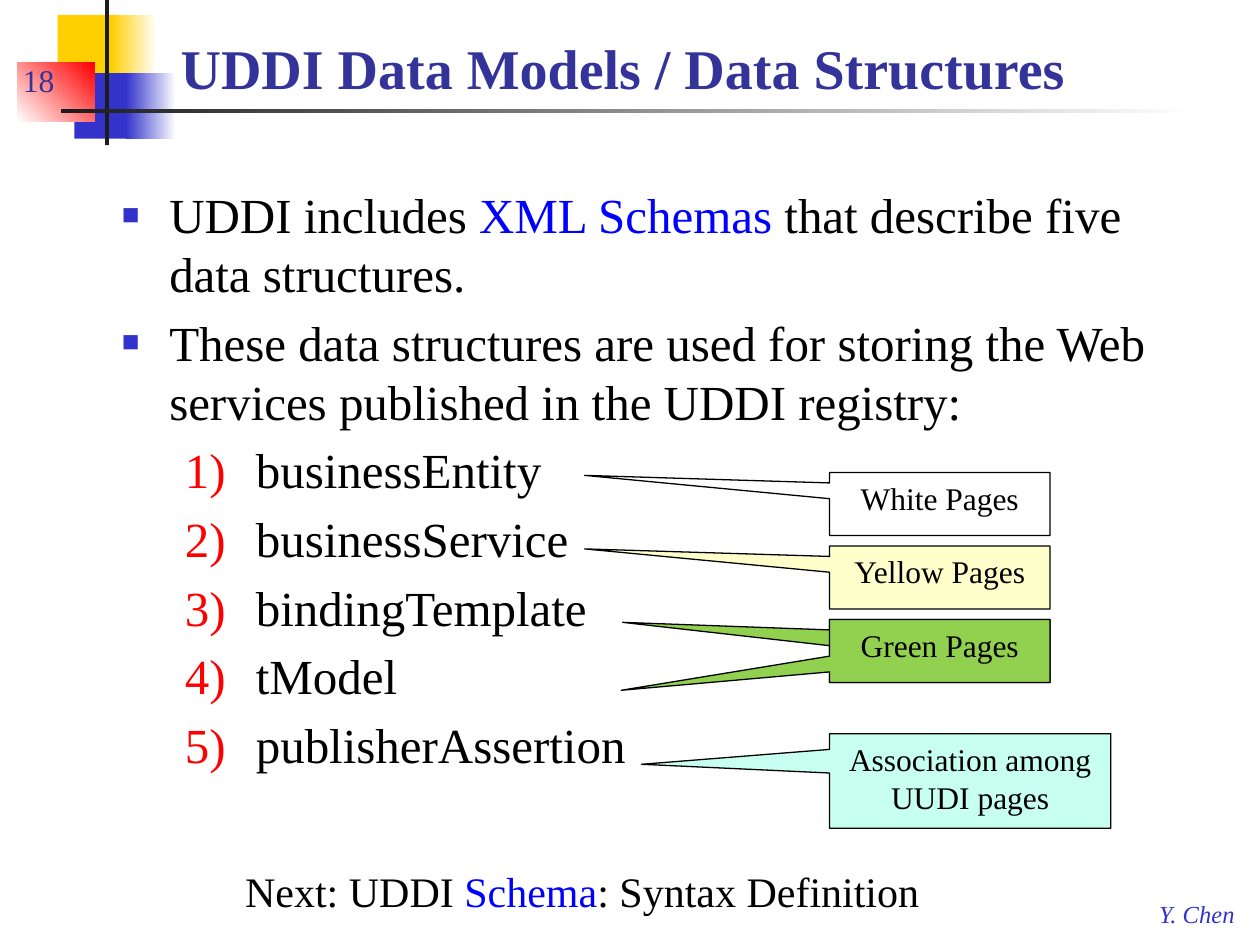
from lxml.etree import SubElement
from pptx import Presentation
from pptx.dml.color import RGBColor
from pptx.enum.shapes import MSO_SHAPE as Shape
from pptx.enum.text import MSO_ANCHOR as Anchor, MSO_AUTO_SIZE as AutoSize, PP_ALIGN as Align
from pptx.oxml.ns import qn
from pptx.util import Pt

BLACK, WHITE, NAVY, BLUE = "000000", "FFFFFF", "333399", "3333CC"
GOLD, RED, LINK, CHARCOAL = "FFCF01", "FF0000", "0000FF", "1C1C1C"


def color(code):
    return RGBColor.from_string(code)


class SlideBuilder:
    font = "Times New Roman"

    def __init__(self, page):
        self.page = page

    def add_span(self, para, text, size, code=BLACK, bold=False, italic=False):
        span = para.add_run()
        span.text = text
        span.font.name, span.font.size = self.font, Pt(size)
        span.font.bold, span.font.italic = bold, italic
        span.font.color.rgb = color(code)

    def place(self, box, left, top, width, height):
        box.left, box.top, box.width, box.height = map(Pt, (left, top, width, height))

    def add_block(self, area, code, end_code=None, angle=0):
        """Plain rectangle, or a gradient one when end_code is given."""
        block = self.page.shapes.add_shape(Shape.RECTANGLE, *map(Pt, area))
        block.shadow.inherit = False
        block.line.fill.background()
        if end_code:
            block.fill.gradient()
            block.fill.gradient_angle = angle
            for stop, stop_code in zip(block.fill.gradient_stops, (code, end_code)):
                stop.color.rgb = color(stop_code)
        else:
            block.fill.solid()
            block.fill.fore_color.rgb = color(code)

    def add_title(self, text, area):
        box = self.page.shapes.title
        self.place(box, *area)
        box.text_frame.vertical_anchor = Anchor.BOTTOM
        box.text_frame.auto_size = AutoSize.NONE
        para = box.text_frame.paragraphs[0]
        para.alignment = Align.LEFT
        self.add_span(para, text, 32, NAVY, bold=True)

    def add_list(self, items, area):
        """Each item is (numbered, [(text, color), ...])."""
        box = self.page.placeholders[1]
        self.place(box, *area)
        frame = box.text_frame
        frame.auto_size = AutoSize.NONE
        for index, (numbered, spans) in enumerate(items):
            para = frame.add_paragraph() if index else frame.paragraphs[0]
            self.set_bullet(para, numbered)
            para.space_before = Pt(5.6 if index else 0)
            for text, code in spans:
                self.add_span(para, text, 28, code)

    def set_bullet(self, para, numbered):
        para.level = int(numbered)
        margin, hanging = (76.5, 40.5) if numbered else (27, 27)
        props = para._p.get_or_add_pPr()
        props.set("marL", str(Pt(margin)))
        props.set("indent", str(-Pt(hanging)))
        tint = SubElement(props, qn("a:buClr"))
        SubElement(tint, qn("a:srgbClr"), val=RED if numbered else BLUE)
        SubElement(props, qn("a:buSzPct"), val="100000" if numbered else "60000")
        SubElement(props, qn("a:buFont"), typeface=self.font)
        if numbered:
            SubElement(props, qn("a:buAutoNum"), type="arabicParenR")
        else:
            SubElement(props, qn("a:buChar"), char="■")

    def add_text(self, spans, area, size, italic=False, wrap=False, anchor=Anchor.TOP):
        frame = self.page.shapes.add_textbox(*map(Pt, area)).text_frame
        frame.word_wrap = wrap
        frame.vertical_anchor = anchor
        for text, code in spans:
            self.add_span(frame.paragraphs[0], text, size, code, italic=italic)

    def add_callout(self, text, area, tip, code):
        """Rectangular callout whose pointer ends at tip."""
        left, top, width, height = area
        box = self.page.shapes.add_shape(Shape.RECTANGULAR_CALLOUT, *map(Pt, area))
        box.shadow.inherit = False
        box.adjustments[0] = (tip[0] - left) / width - 0.5
        box.adjustments[1] = (tip[1] - top) / height - 0.5
        box.fill.solid()
        box.fill.fore_color.rgb = color(code)
        box.line.color.rgb = color(BLACK)
        box.line.width = Pt(0.75)
        if text:
            frame = box.text_frame
            frame.word_wrap = True
            frame.vertical_anchor = Anchor.TOP
            frame.paragraphs[0].alignment = Align.CENTER
            self.add_span(frame.paragraphs[0], text, 18)


def main():
    deck = Presentation()
    deck.slide_width, deck.slide_height = Pt(720), Pt(540)
    builder = SlideBuilder(deck.slides.add_slide(deck.slide_layouts[1]))

    # Corner decoration and rule under the title
    builder.add_block((33, 8.5, 34.5, 37.5), GOLD)
    builder.add_block((63.5, 8.5, 26, 37.5), GOLD, WHITE)
    builder.add_block((42.5, 41.75, 33, 37.5), BLUE)
    builder.add_block((72, 41.75, 28.5, 37.5), BLUE, WHITE)
    builder.add_block((10, 36, 44, 33.5), WHITE, RED, angle=45)
    builder.add_block((60, 0, 2.25, 83), CHARCOAL)
    builder.add_block((34.75, 62.25, 648, 2.25), CHARCOAL, WHITE)

    # Title, author and page number
    builder.add_title("UDDI Data Models / Data Structures", (96, 12, 600, 49))
    builder.add_text([("Y. Chen", BLUE)], (655.25, 510, 59, 24), 14, italic=True)
    builder.add_text([("18", NAVY)], (6, 24, 57, 36), 18, wrap=True, anchor=Anchor.BOTTOM)

    # Body list
    structures = ("businessEntity", "businessService", "bindingTemplate",
                  "tModel", "publisherAssertion")
    items = [
        (False, [("UDDI includes ", BLACK), ("XML Schemas ", LINK),
                 ("that describe five data structures.", BLACK)]),
        (False, [("These data structures are used for storing the Web services "
                  "published in the UDDI registry:", BLACK)]),
    ] + [(True, [(name, BLACK)]) for name in structures]
    builder.add_list(items, (62.5, 102, 603.5, 408))

    # Callouts; two green pointers share one label
    left, first_top, pitch = 474, 270, 42
    pages = [
        (0, "White Pages", (334, 271.7), WHITE),
        (1, "Yellow Pages", (334, 313.7), "FFFFCC"),
        (2, "", (355.8, 355.7), "92D050"),
        (2, "Green Pages", (355, 394.5), "92D050"),
    ]
    for row, label, tip, code in pages:
        builder.add_callout(label, (left, first_top + row * pitch, 126, 36), tip, code)
    builder.add_callout("Association among UUDI pages", (left, 419.25, 160.75, 54),
                        (366.6, 436.75), "C7FFF0")

    # Closing line
    builder.add_text([("Next: UDDI ", BLACK), ("Schema", LINK),
                      (": Syntax Definition", BLACK)], (133, 491, 409.5, 36), 24)

    deck.save("out.pptx")


if __name__ == "__main__":
    main()
